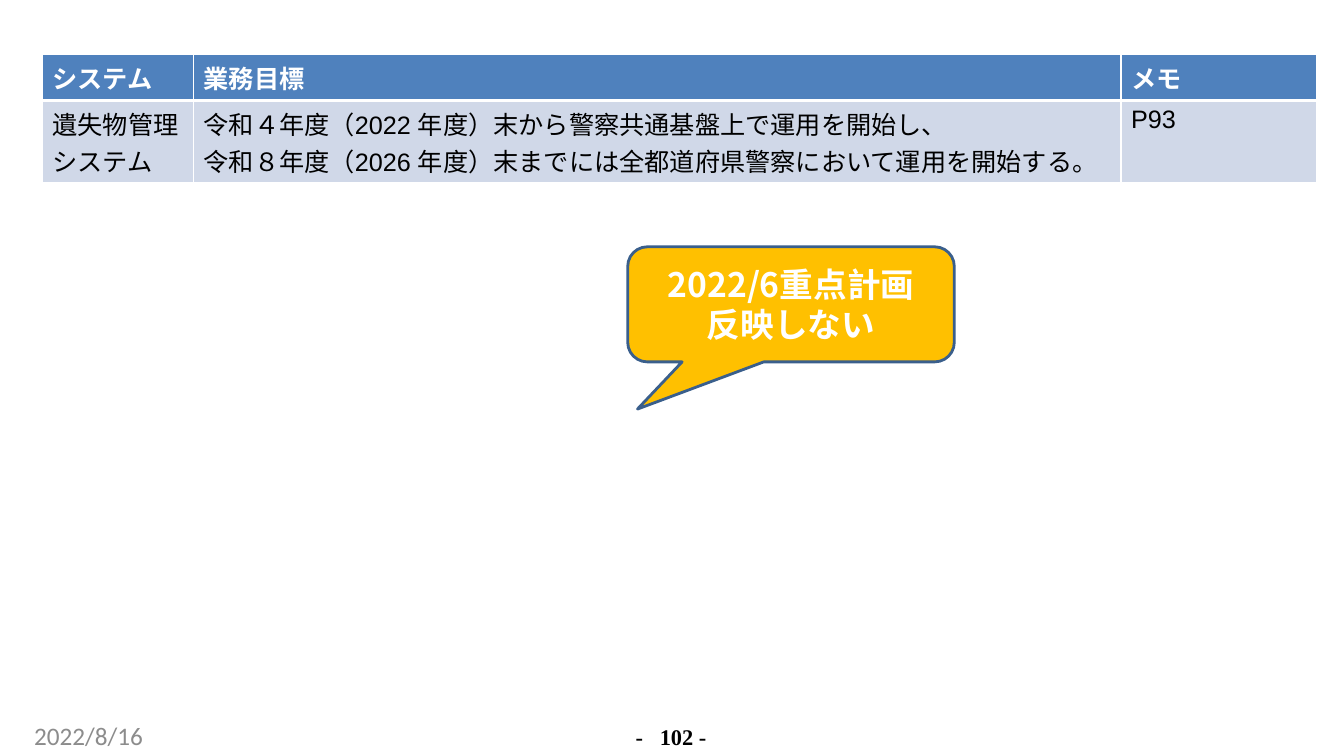
from lxml import etree
from pptx import Presentation
from pptx.dml.color import RGBColor
from pptx.enum.shapes import MSO_SHAPE
from pptx.enum.text import MSO_ANCHOR, PP_ALIGN
from pptx.oxml.ns import qn
from pptx.util import Cm, Pt

CALLOUT = MSO_SHAPE.ROUNDED_RECTANGULAR_CALLOUT
MIDDLE = MSO_ANCHOR.MIDDLE
CENTER = PP_ALIGN.CENTER
LEFT = PP_ALIGN.LEFT

COLORS = {
    "white": "FFFFFF",
    "black": "000000",
    "gray": "8C8C8C",
    "header": "4F81BD",
    "body": "D0D8E8",
    "callout": "FFC000",
    "outline": "3A5F8C",
}
JAPANESE_FONT = "Noto Sans CJK JP"
FORMATS = {
    "header": {"name": "Arial", "size": Pt(18), "bold": True, "color": "white"},
    "body": {"name": "Arial", "size": Pt(18), "bold": False, "color": "black"},
    "callout": {"name": JAPANESE_FONT, "size": Pt(24), "bold": True, "color": "white"},
    "date": {"name": "Calibri", "size": Pt(18), "bold": False, "color": "gray"},
    "page": {"name": "Times New Roman", "size": Pt(16), "bold": True, "color": "black"},
}
GOALS = [
    ["システム", "業務目標", "メモ"],
    [
        "遺失物管理システム",
        "令和４年度（2022 年度）末から警察共通基盤上で運用を開始し、\n"
        "令和８年度（2026 年度）末までには全都道府県警察において運用を開始する。",
        "P93",
    ],
]


def rgb(color):
    return RGBColor.from_string(COLORS[color])


class SlideBuilder:
    def __init__(self, slide):
        self.slide = slide

    def fill_text(self, frame, text, style, align=LEFT, spacing=None, tab=None):
        """Fill a text frame, one paragraph for each line of text."""
        for index, line in enumerate(text.split("\n")):
            paragraph = frame.paragraphs[0] if index == 0 else frame.add_paragraph()
            paragraph.alignment = align
            if spacing:
                paragraph.line_spacing = spacing
            if tab:
                properties = paragraph._p.get_or_add_pPr()
                stops = etree.SubElement(properties, qn("a:tabLst"))
                etree.SubElement(stops, qn("a:tab"), pos=str(int(tab)), algn="l")
            run = paragraph.add_run()
            run.text = line
            for key, value in FORMATS[style].items():
                if key == "color":
                    run.font.color.rgb = rgb(value)
                else:
                    setattr(run.font, key, value)
            east_asian = etree.Element(qn("a:ea"), typeface=JAPANESE_FONT)
            run._r.get_or_add_rPr().find(qn("a:latin")).addnext(east_asian)

    def text(self, box, text, style, **layout):
        frame = self.slide.shapes.add_textbox(*map(Cm, box)).text_frame
        frame.word_wrap = True
        for side in ("left", "top", "right", "bottom"):
            setattr(frame, f"margin_{side}", 0)
        self.fill_text(frame, text, style, **layout)

    def borders(self, cell, bottom):
        properties = cell._tc.get_or_add_tcPr()
        for side, width in {"L": 1, "R": 1, "T": 1, "B": bottom}.items():
            line = etree.SubElement(properties, qn(f"a:ln{side}"), w=str(int(Pt(width))))
            fill = etree.SubElement(line, qn("a:solidFill"))
            etree.SubElement(fill, qn("a:srgbClr"), val=COLORS["white"])

    def table(self, left, top, widths, heights, rows):
        box = map(Cm, (left, top, sum(widths), sum(heights)))
        table = self.slide.shapes.add_table(len(rows), len(widths), *box).table
        for column, width in zip(table.columns, widths):
            column.width = Cm(width)
        for row, height in zip(table.rows, heights):
            row.height = Cm(height)
        for row_index, row in enumerate(rows):
            style = "body" if row_index else "header"
            for column_index, text in enumerate(row):
                cell = table.cell(row_index, column_index)
                self.borders(cell, bottom=1 if row_index else 3)
                cell.fill.solid()
                cell.fill.fore_color.rgb = rgb(style)
                self.fill_text(cell.text_frame, text, style)

    def callout(self, box, adjustments, text):
        shape = self.slide.shapes.add_shape(CALLOUT, *map(Cm, box))
        shape.shadow.inherit = False
        for index, value in enumerate(adjustments):
            shape.adjustments[index] = value
        shape.fill.solid()
        shape.fill.fore_color.rgb = rgb("callout")
        shape.line.color.rgb = rgb("outline")
        shape.line.width = Pt(2)
        shape.text_frame.word_wrap = True
        shape.text_frame.vertical_anchor = MIDDLE
        self.fill_text(shape.text_frame, text, "callout", align=CENTER, spacing=Pt(28.6))


def main():
    presentation = Presentation()
    presentation.slide_width = Cm(33.87)
    presentation.slide_height = Cm(19.05)
    builder = SlideBuilder(presentation.slides.add_slide(presentation.slide_layouts[6]))
    builder.text((15.82, 18.26, 2.18, 0.64), "-\t102 -", "page",
                 align=CENTER, spacing=Pt(18.4), tab=Cm(0.61))
    builder.text((0.86, 18.14, 7.8, 0.76), "2022/8/16", "date")
    builder.table(1.07, 1.37, (3.81, 23.37, 4.93), (1.16, 2.08), GOALS)
    builder.callout((15.82, 6.22, 8.23, 2.9), (-0.47, 0.91, 0.17),
                    "2022/6重点計画\n反映しない")
    presentation.save("out.pptx")


if __name__ == "__main__":
    main()
